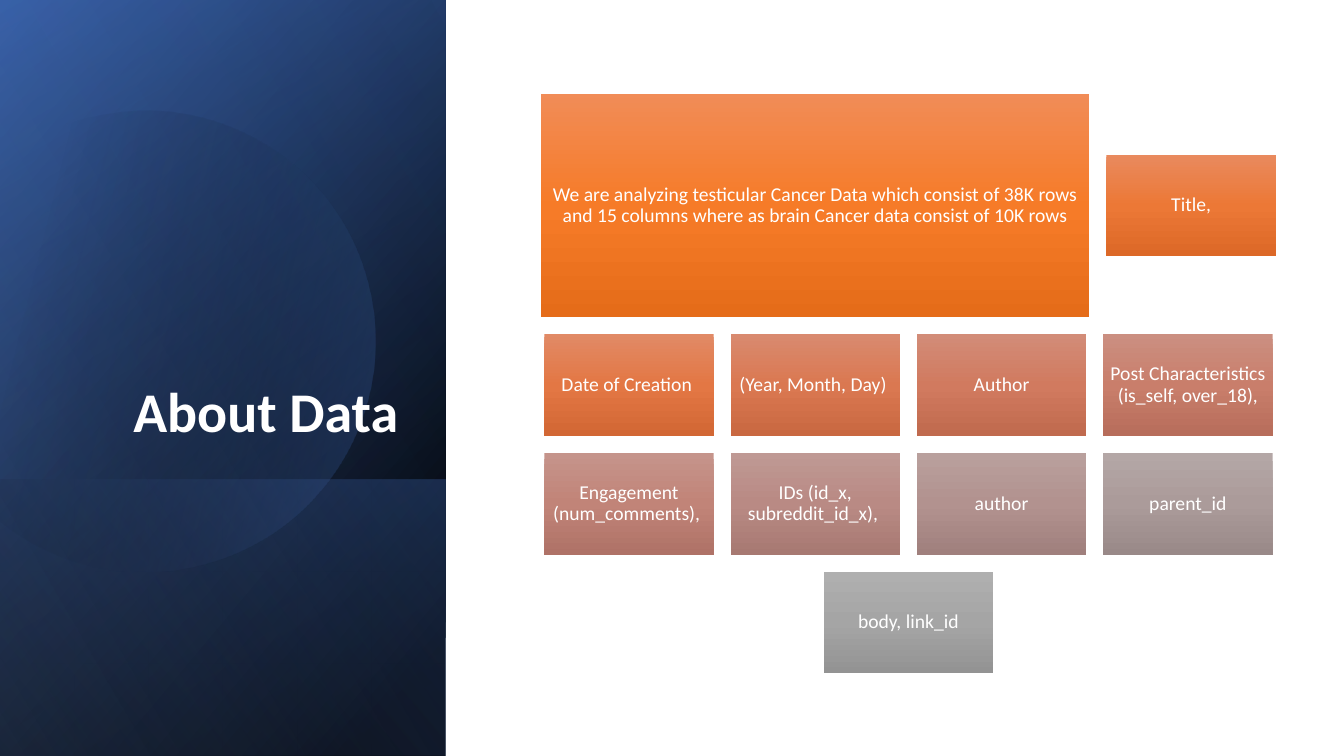
from collections import namedtuple
from dataclasses import dataclass
from math import cos, radians, sin

from lxml.etree import SubElement
from pptx import Presentation
from pptx.dml.color import RGBColor
from pptx.enum.shapes import MSO_SHAPE as Shape
from pptx.enum.text import MSO_ANCHOR as Anchor, PP_ALIGN as Align
from pptx.oxml.ns import qn
from pptx.util import Inches, Pt

Box = namedtuple("Box", "left top width height")


@dataclass(frozen=True)
class Theme:
    font: str = "Calibri"
    title_size: int = 40
    card_size: int = 14
    text: str = "FFFFFF"
    black: str = "000000"
    navy: str = "2F5597"
    blue: str = "4472C4"
    pale_blue: str = "8FAADC"


THEME = Theme()

# Card rows: text and the top, middle and bottom colours of each card
CARD_ROWS = [
    [("We are analyzing testicular Cancer Data which consist of 38K rows "
      "and 15 columns where as brain Cancer data consist of 10K rows",
      ("F18C57", "F67B28", "E56C19")),
     ("Title,", ("E98A5E", "EC7836", "DC6827"))],
    [("Date of Creation ", ("E18A66", "E37744", "D26734")),
     ("(Year, Month, Day) ", ("D98A6F", "DA7851", "C96841")),
     ("Author", ("D28C78", "D17A5F", "C06A4E")),
     ("Post Characteristics (is_self, over_18),",
      ("CB8F81", "C97E6B", "B76D5B"))],
    [("Engagement (num_comments), ", ("C5948B", "C18478", "AF7267")),
     ("IDs (id_x, subreddit_id_x), ", ("BF9994", "B98A84", "A77972")),
     ("author", ("B9A09D", "B2928F", "A0807D")),
     ("parent_id", ("B4A7A6", "AB9B9A", "998988"))],
    [("body, link_id", ("AFAFAF", "A5A5A5", "939393"))],
]

# Disc outline as it stands on the panel, and the turn of its frame
DISC_TURN = 343.9
DISC_OUTLINE = [
    ("moveTo", [(1.49, 1.1)]),
    ("cubicBezTo", [(2.46, 1.12), (3.35, 1.77), (3.63, 2.75)]),
    ("cubicBezTo", [(3.98, 3.97), (3.28, 5.23), (2.07, 5.58)]),
    ("cubicBezTo", [(1.31, 5.8), (0.53, 5.61), (-0.03, 5.14)]),
    ("lnTo", [(-0.15, 5.03)]),
    ("lnTo", [(-0.15, 1.75)]),
    ("lnTo", [(0, 1.61)]),
    ("cubicBezTo", [(0.23, 1.42), (0.5, 1.28), (0.8, 1.19)]),
    ("cubicBezTo", [(1.03, 1.13), (1.26, 1.1), (1.49, 1.1)]),
    ("close", []),
]


def fill_gradient(shape, stops, angle):
    """Fill with (position %, colour, opacity %) stops, without outline."""
    shape.shadow.inherit = False
    shape.line.fill.background()
    shape.fill.gradient()
    gradient = shape._element.spPr.find(qn("a:gradFill"))
    for child in list(gradient):
        gradient.remove(child)
    stop_list = SubElement(gradient, qn("a:gsLst"))
    for position, color, opacity in stops:
        stop = SubElement(stop_list, qn("a:gs"), pos=str(position * 1000))
        rgb = SubElement(stop, qn("a:srgbClr"), val=color)
        if opacity < 100:
            SubElement(rgb, qn("a:alpha"), val=str(opacity * 1000))
    SubElement(gradient, qn("a:lin"), ang=str(angle * 60000), scaled="0")


def style_text(paragraph, size, align, bold=False):
    paragraph.alignment = align
    paragraph.line_spacing = 0.9
    font = paragraph.font
    font.name, font.size, font.bold = THEME.font, Pt(size), bold
    font.color.rgb = RGBColor.from_string(THEME.text)


def add_shade(slide, box, stops, angle):
    """Add a mirrored quarter-turned rectangle that covers the box."""
    left = box.left + (box.width - box.height) / 2
    top = box.top + (box.height - box.width) / 2
    shade = slide.shapes.add_shape(
        Shape.RECTANGLE, Inches(left), Inches(top),
        Inches(box.height), Inches(box.width))
    shade.rotation = 90
    shade._element.spPr.find(qn("a:xfrm")).set("flipH", "1")
    fill_gradient(shade, stops, angle)


def add_disc(slide, panel):
    frame = Box(-0.55, 1.06, 4.27, 4.57)
    left, top = panel.left + frame.left, panel.top + frame.top
    right, bottom = left + frame.width, top + frame.height
    builder = slide.shapes.build_freeform(left * 100, top * 100,
                                          scale=Inches(0.01))
    builder.add_line_segments([(x * 100, y * 100) for x, y in
                               ((right, top), (right, bottom), (left, bottom))])
    disc = builder.convert_to_shape()

    # Curved outline, turned back into the upright frame
    outline = disc._element.spPr.find(".//" + qn("a:path"))
    for step in list(outline):
        outline.remove(step)
    outline.set("w", str(Inches(frame.width)))
    outline.set("h", str(Inches(frame.height)))
    turn = radians(360 - DISC_TURN)
    for command, points in DISC_OUTLINE:
        step = SubElement(outline, qn("a:" + command))
        for x, y in points:
            dx = x - frame.left - frame.width / 2
            dy = y - frame.top - frame.height / 2
            local_x = frame.width / 2 + dx * cos(turn) - dy * sin(turn)
            local_y = frame.height / 2 + dx * sin(turn) + dy * cos(turn)
            SubElement(step, qn("a:pt"), x=str(Inches(local_x)),
                       y=str(Inches(local_y)))
    disc.left, disc.top = Inches(left), Inches(top)
    disc.width, disc.height = Inches(frame.width), Inches(frame.height)
    disc.rotation = DISC_TURN
    fill_gradient(disc, [(29, THEME.black, 0), (100, THEME.blue, 43)], 30)


def add_title_panel(slide, box):
    # Layered shades
    foot_height = 2.74
    foot = Box(box.left, box.top + box.height - foot_height,
               box.width, foot_height)
    add_shade(slide, box, [(8, THEME.black, 100), (100, THEME.navy, 100)], 50)
    add_shade(slide, box, [(0, THEME.black, 0), (99, THEME.blue, 46)], 30)
    add_shade(slide, foot, [(2, THEME.blue, 29), (100, THEME.black, 30)], 130)
    add_disc(slide, box)
    add_shade(slide, box, [(0, THEME.black, 0), (99, THEME.pale_blue, 11)], 120)

    # Title, brought in front of the shades
    title = slide.shapes.title
    title.left, title.top = Inches(box.left + 0.64), Inches(box.top + 1.84)
    title.width, title.height = Inches(3.41), Inches(2.62)
    title.text_frame.text = "About Data"
    title.text_frame.vertical_anchor = Anchor.BOTTOM
    style_text(title.text_frame.paragraphs[0], THEME.title_size,
               Align.RIGHT, bold=True)
    slide.shapes._spTree.append(title._element)


def add_card(slide, box, text, colors):
    card = slide.shapes.add_shape(Shape.RECTANGLE, *map(Inches, box))
    fill_gradient(card, [(position, color, 100) for position, color
                         in zip((0, 50, 100), colors)], 90)
    frame = card.text_frame
    frame.word_wrap = True
    frame.vertical_anchor = Anchor.MIDDLE
    frame.margin_left = frame.margin_right = Inches(0.06)
    frame.margin_top = frame.margin_bottom = Inches(0.06)
    frame.text = text
    style_text(frame.paragraphs[0], THEME.card_size, Align.CENTER)
    frame.paragraphs[0].space_after = Pt(5)


def add_card_grid(slide, box):
    """Stack centred rows of cards; the first card is the large one."""
    small = (1.68, 1.68 * 0.6)
    large = (5.44, 2.22)
    gap = small[0] / 10
    top = box.top
    for row_index, row in enumerate(CARD_ROWS):
        sizes = [small] * len(row)
        if row_index == 0:
            sizes[0] = large
        row_width = sum(width for width, _ in sizes) + gap * (len(row) - 1)
        row_height = max(height for _, height in sizes)
        left = box.left + (box.width - row_width) / 2
        for (text, colors), (width, height) in zip(row, sizes):
            card_top = top + (row_height - height) / 2
            add_card(slide, Box(left, card_top, width, height), text, colors)
            left += width + gap
        top += row_height + gap


def main():
    deck = Presentation()
    deck.slide_width, deck.slide_height = Inches(13.33), Inches(7.5)
    slide = deck.slides.add_slide(deck.slide_layouts[5])
    add_title_panel(slide, Box(0, 0, 4.42, 7.5))
    add_card_grid(slide, Box(5.36, 0.93, 7.3, 5.75))
    deck.save("out.pptx")


if __name__ == "__main__":
    main()
